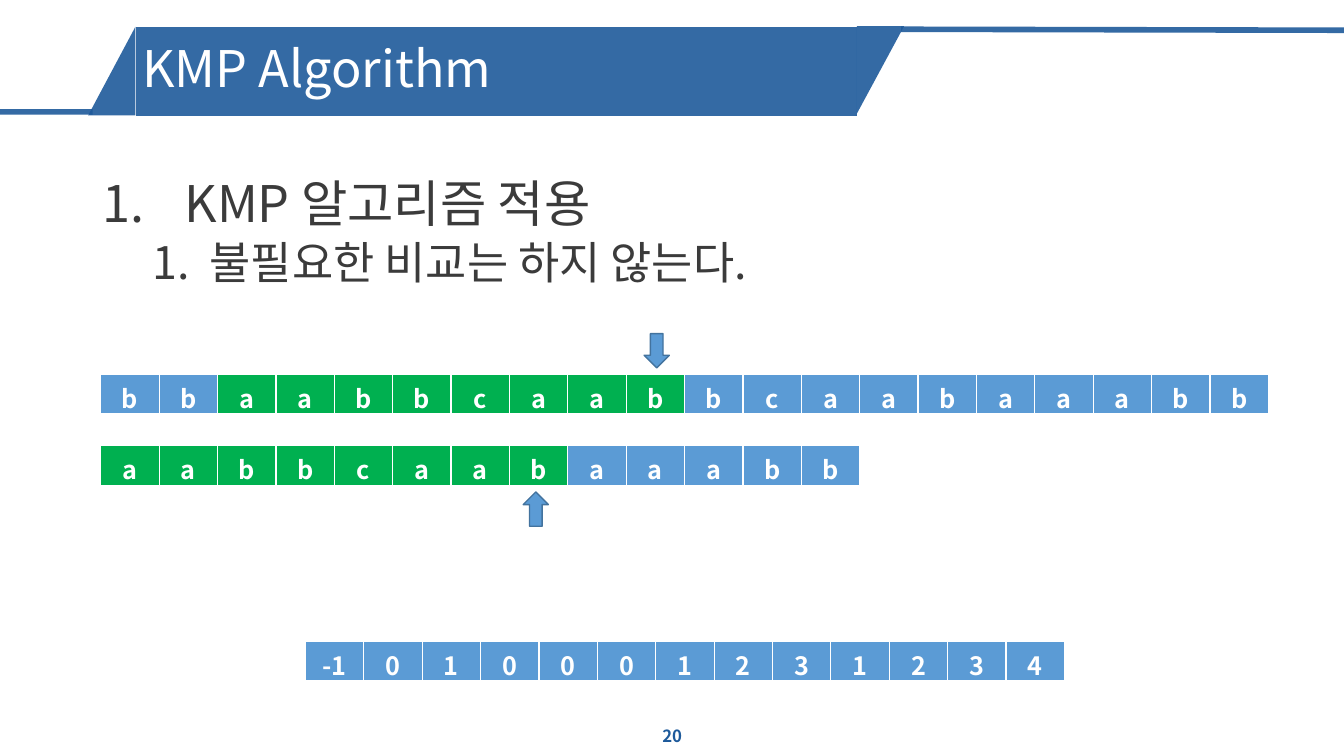
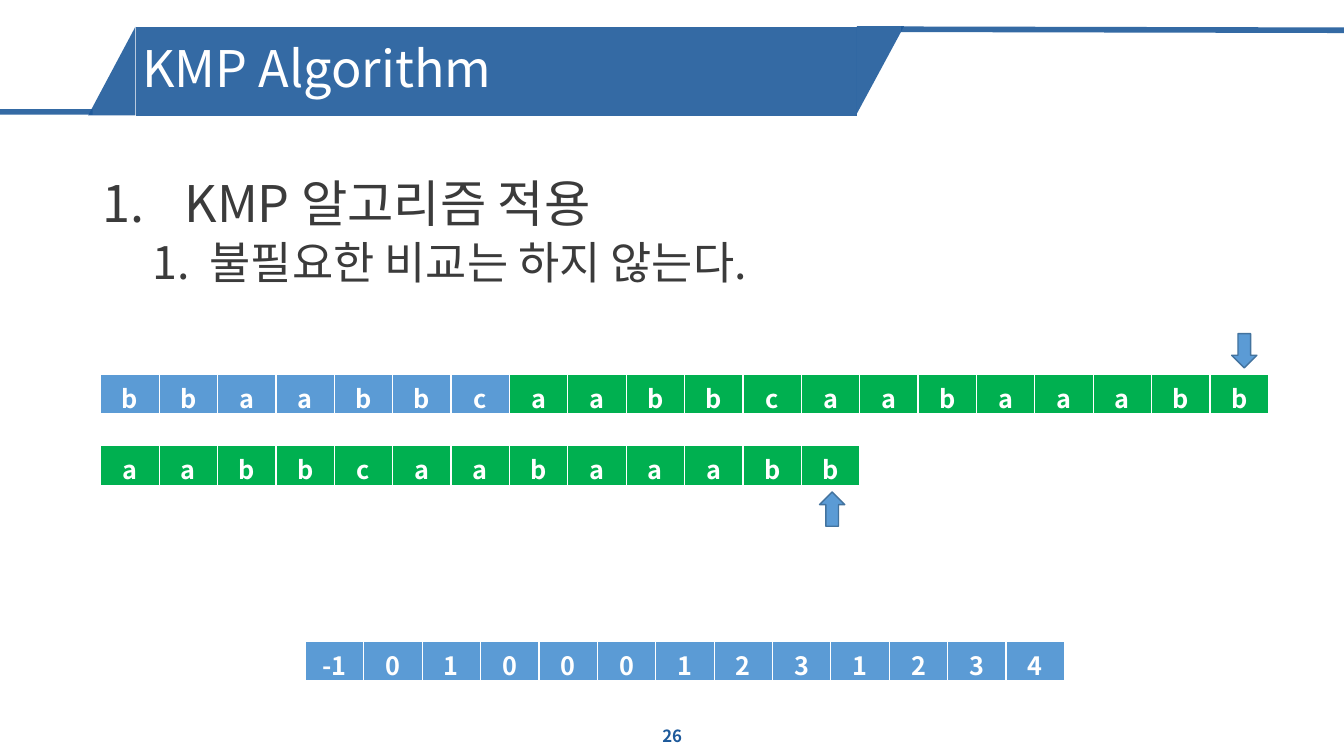
from dataclasses import dataclass

from lxml.etree import SubElement
from pptx import Presentation
from pptx.dml.color import RGBColor as Rgb
from pptx.enum.shapes import MSO_CONNECTOR as Link, MSO_SHAPE as Kind
from pptx.enum.text import MSO_ANCHOR as Anchor, MSO_AUTO_SIZE as Fit, PP_ALIGN as Align
from pptx.oxml.ns import qn
from pptx.slide import Slide
from pptx.util import Pt


@dataclass(frozen=True)
class Theme:
    font: str = "Noto Sans CJK KR"
    navy: str = "1E5A9B"
    blue: str = "5B9BD5"
    edge: str = "43739E"
    green: str = "00B050"
    ink: str = "3B3B3B"
    white: str = "FFFFFF"
    head: int = 36
    sub: int = 32
    cell: int = 18
    foot: int = 12


@dataclass(frozen=True)
class Box:
    left: float
    top: float
    width: float
    height: float

    def span(self) -> tuple:
        return Pt(self.left), Pt(self.top), Pt(self.width), Pt(self.height)


@dataclass(frozen=True)
class Part:
    kind: Kind
    box: Box
    turn: int = 0


@dataclass(frozen=True)
class Item:
    text: str
    size: int
    level: int
    margin: float
    hang: float
    before: float


@dataclass(frozen=True)
class Strip:
    """A one-row table; cells from first up to last are matched."""
    cells: str
    left: float
    top: float
    first: int = 0
    last: int = 0


@dataclass(frozen=True)
class Step:
    number: int
    first: int
    last: int
    match: int
    upper: float
    lower: float


LOOK = Theme()
TITLE = "KMP Algorithm"
TEXT = "b b a a b b c a a b b c a a b a a a b b"
WORD = "a a b b c a a b a a a b b"
FAIL = "-1 0 1 0 0 0 1 2 3 1 2 3 4"
COL, ROW = 41.7, 29.5
BAND = (
    Part(Kind.RIGHT_TRIANGLE, Box(597.6, 33.1, 62.6, 33.8), 90),
    Part(Kind.RIGHT_TRIANGLE, Box(48.2, 33.8, 63.4, 33.8), 270),
    Part(Kind.RECTANGLE, Box(97.2, 19.4, 514.8, 63.4)),
)
RULES = ((66.2, 79.9, 0, 79.9), (960, 21.6, 643.7, 20.9))
ITEMS = (
    Item("KMP 알고리즘 적용", LOOK.head, 0, 58.5, 40.5 + 18, 0),
    Item("불필요한 비교는 하지 않는다.", LOOK.sub, 1, 76.5, 40.5, 5),
)
STEPS = (
    Step(20, 2, 10, 8, 460.1, 373.7),
    Step(26, 7, 20, 13, 879.8, 585.4),
)


def write(para, text: str, size: int, color: str, bold: bool = False) -> None:
    run = para.add_run()
    run.text = text
    font = run.font
    font.size, font.bold, font.name = Pt(size), bold, LOOK.font
    font.color.rgb = Rgb.from_string(color)
    SubElement(font._element, qn("a:ea"), typeface=LOOK.font)


def fade(fill) -> None:
    """Make a solid navy fill slightly see-through."""
    fill.solid()
    fill.fore_color.rgb = Rgb.from_string(LOOK.navy)
    color = fill._xPr.find(f".//{qn('a:srgbClr')}")
    SubElement(color, qn("a:alpha"), val="90000")


def band(slide: Slide) -> None:
    for part in BAND:
        shape = slide.shapes.add_shape(part.kind, *part.box.span())
        shape.rotation = part.turn
        shape.shadow.inherit = False
        shape.line.fill.background()
        fade(shape.fill)
    for ends in RULES:
        rule = slide.shapes.add_connector(Link.STRAIGHT, *map(Pt, ends))
        rule.line.width = Pt(4)
        fade(rule.line.fill)
        SubElement(rule._element.spPr, qn("a:effectLst"))


def title(slide: Slide) -> None:
    """Fill the title placeholder and lift it above the band."""
    shape = slide.shapes.title
    shape.left, shape.top, shape.width, shape.height = Box(94.3, 21.6, 514.8, 58.3).span()
    frame = shape.text_frame
    frame.auto_size, frame.word_wrap = Fit.NONE, True
    frame.vertical_anchor = Anchor.MIDDLE
    para = frame.paragraphs[0]
    para.alignment, para.line_spacing = Align.LEFT, 0.9
    write(para, TITLE, LOOK.head, LOOK.white)
    shape.element.getparent().append(shape.element)


def body(slide: Slide) -> None:
    frame = slide.shapes.add_textbox(*Box(66.2, 124.6, 823.7, 357.8).span()).text_frame
    frame.word_wrap = True
    for i, item in enumerate(ITEMS):
        para = frame.add_paragraph() if i else frame.paragraphs[0]
        para.level, para.line_spacing = item.level, 0.9
        para.space_before = Pt(item.before)
        props = para._p.get_or_add_pPr()
        props.set("marL", str(Pt(item.margin)))
        props.set("indent", str(-Pt(item.hang)))
        SubElement(props, qn("a:buFont"), typeface="+mj-lt")
        SubElement(props, qn("a:buAutoNum"), type="arabicPeriod")
        write(para, item.text, item.size, LOOK.ink)


def border(cell) -> None:
    props = cell._tc.get_or_add_tcPr()
    for side, width in (("L", 1), ("R", 1), ("T", 1), ("B", 3)):
        line = SubElement(props, qn(f"a:ln{side}"), w=str(Pt(width)))
        fill = SubElement(line, qn("a:solidFill"))
        SubElement(fill, qn("a:srgbClr"), val=LOOK.white)


def row(slide: Slide, strip: Strip) -> None:
    marks = strip.cells.split()
    box = Box(strip.left, strip.top, COL * len(marks), ROW)
    table = slide.shapes.add_table(1, len(marks), *box.span()).table
    for i, mark in enumerate(marks):
        table.columns[i].width = Pt(COL)
        cell = table.cell(0, i)
        border(cell)
        cell.fill.solid()
        color = LOOK.green if strip.first <= i < strip.last else LOOK.blue
        cell.fill.fore_color.rgb = Rgb.from_string(color)
        para = cell.text_frame.paragraphs[0]
        para.alignment = Align.CENTER
        write(para, mark, LOOK.cell, LOOK.white, True)


def arrow(slide: Slide, left: float, top: float, turn: int) -> None:
    shape = slide.shapes.add_shape(Kind.DOWN_ARROW, *Box(left, top, 18, 24.5).span())
    shape.rotation = turn
    shape.shadow.inherit = False
    shape.fill.solid()
    shape.fill.fore_color.rgb = Rgb.from_string(LOOK.blue)
    shape.line.color.rgb = Rgb.from_string(LOOK.edge)
    shape.line.width = Pt(1)


def foot(slide: Slide, number: int) -> None:
    frame = slide.shapes.add_textbox(*Box(372.2, 511.2, 216, 28.8).span()).text_frame
    frame.word_wrap = True
    frame.vertical_anchor = Anchor.MIDDLE
    para = frame.paragraphs[0]
    para.alignment = Align.CENTER
    write(para, str(number), LOOK.foot, LOOK.navy, True)


def build(deck, step: Step) -> None:
    slide = deck.slides.add_slide(deck.slide_layouts[5])
    band(slide)
    foot(slide, step.number)
    title(slide)
    body(slide)
    row(slide, Strip(WORD, 72, 318.2, 0, step.match))
    row(slide, Strip(FAIL, 218.2, 457.9))
    row(slide, Strip(TEXT, 72, 267.1, step.first, step.last))
    arrow(slide, step.upper, 238.3, 0)
    arrow(slide, step.lower, 351.4, 180)


def main() -> None:
    deck = Presentation()
    deck.slide_width, deck.slide_height = Pt(960), Pt(540)
    for step in STEPS:
        build(deck, step)
    deck.save("out.pptx")


if __name__ == "__main__":
    main()
